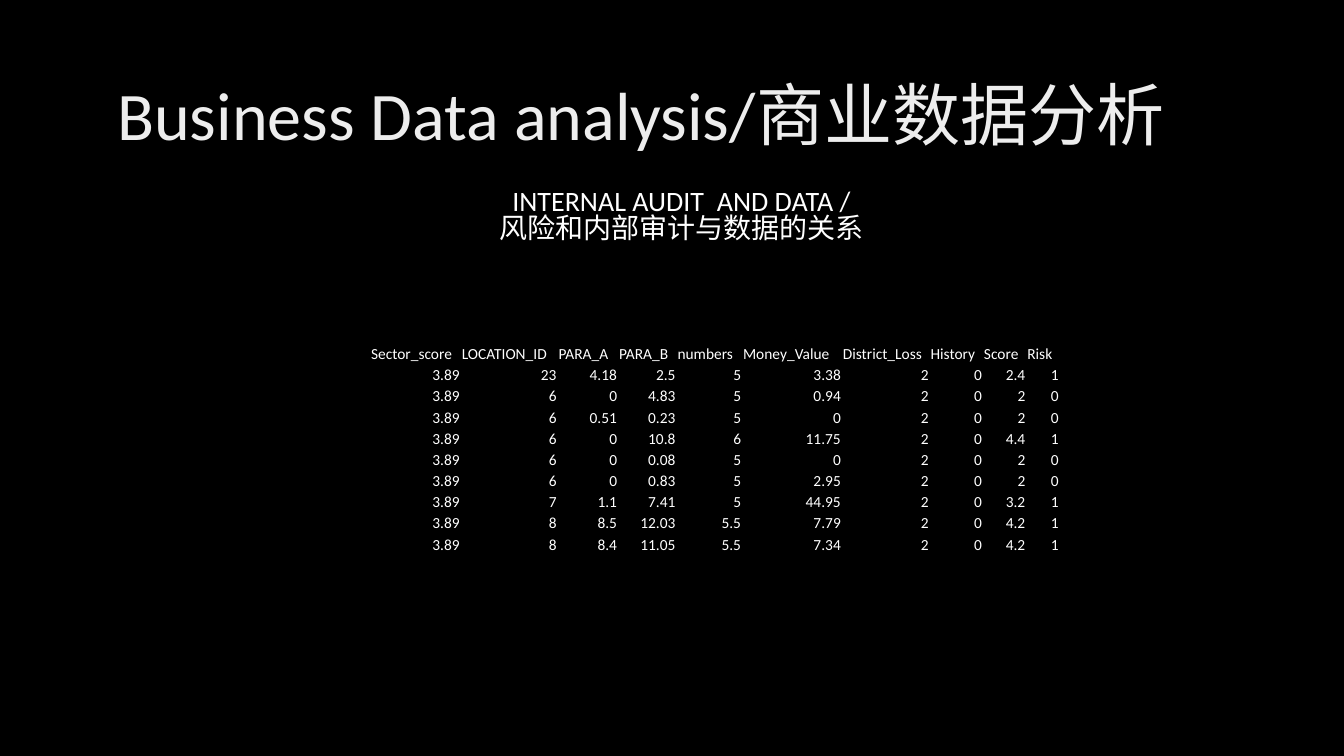
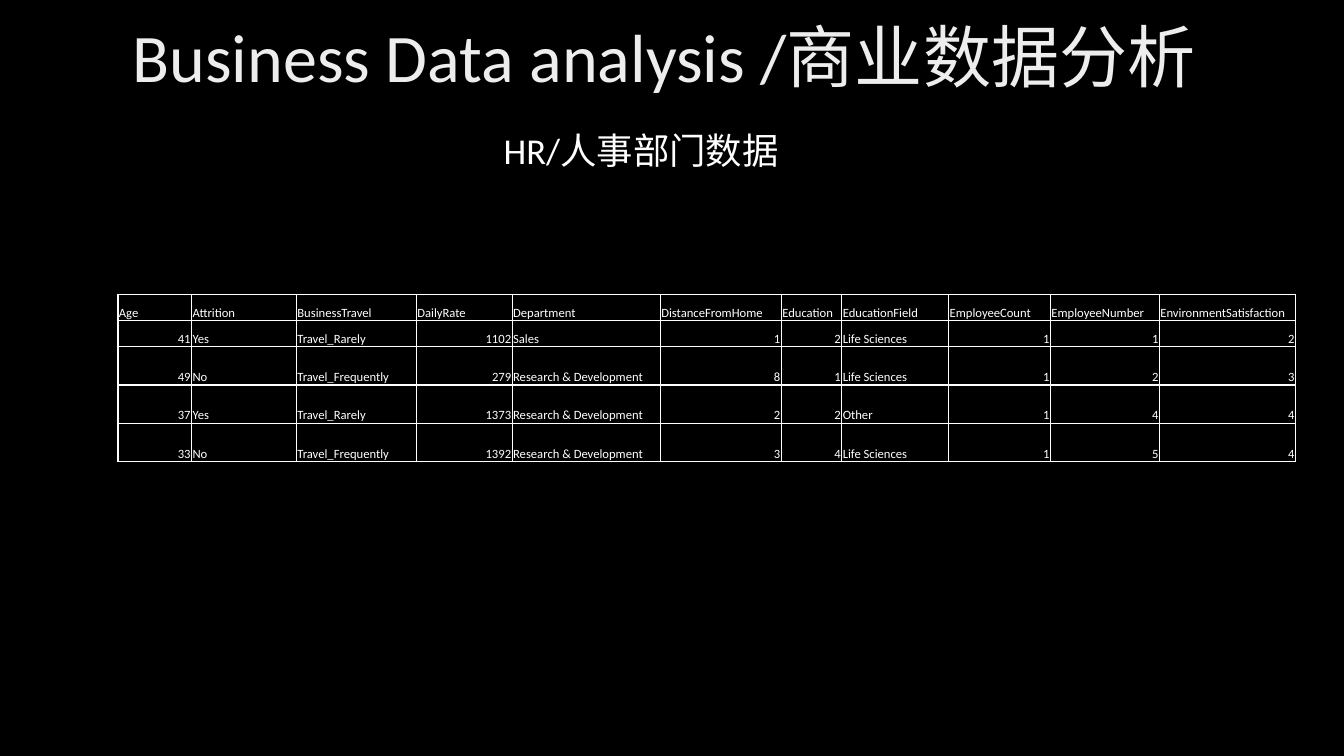
from pptx import Presentation
from pptx.dml.color import RGBColor as RGB
from pptx.enum.text import MSO_ANCHOR as Anchor, MSO_AUTO_SIZE as Auto, PP_ALIGN as Align
from pptx.oxml import parse_xml
from pptx.util import Inches, Pt

NS = 'xmlns:a="http://schemas.openxmlformats.org/drawingml/2006/main"'
HUES = {"back": "000000", "text": "FFFFFF", "dim": "BFBFBF", "pale": "EDEDED"}
FONT = "Calibri"

STOPS = "".join(
    f'<a:gs pos="{pos}000"><a:srgbClr val="{HUES[hue]}"/></a:gs>'
    for pos, hue in ((0, "dim"), (28, "pale"), (100, "text")))
SHEEN = (f'<a:gradFill {NS} rotWithShape="1"><a:gsLst>{STOPS}</a:gsLst>'
         '<a:lin ang="4800000" scaled="0"/></a:gradFill>')

AUDIT = """\
Sector_score|LOCATION_ID|PARA_A|PARA_B|numbers|Money_Value|District_Loss|History|Score|Risk
3.89|23|4.18|2.5|5|3.38|2|0|2.4|1
3.89|6|0|4.83|5|0.94|2|0|2|0
3.89|6|0.51|0.23|5|0|2|0|2|0
3.89|6|0|10.8|6|11.75|2|0|4.4|1
3.89|6|0|0.08|5|0|2|0|2|0
3.89|6|0|0.83|5|2.95|2|0|2|0
3.89|7|1.1|7.41|5|44.95|2|0|3.2|1
3.89|8|8.5|12.03|5.5|7.79|2|0|4.2|1
3.89|8|8.4|11.05|5.5|7.34|2|0|4.2|1"""

STAFF = """\
Age|Attrition|BusinessTravel|DailyRate|Department|DistanceFromHome|Education|EducationField|EmployeeCount|EmployeeNumber|EnvironmentSatisfaction
41|Yes|Travel_Rarely|1102|Sales|1|2|Life Sciences|1|1|2
49|No|Travel_Frequently|279|Research & Development|8|1|Life Sciences|1|2|3
37|Yes|Travel_Rarely|1373|Research & Development|2|2|Other|1|4|4
33|No|Travel_Frequently|1392|Research & Development|3|4|Life Sciences|1|5|4"""

PAGES = [
    {"title": "Business Data analysis/商业数据分析", "title_at": (0.59, 0.72),
     "lines": ["INTERNAL AUDIT  AND DATA /", "风险和内部审计与数据的关系"],
     "lines_at": (1.22, 1.83), "lines_size": 20,
     "data": AUDIT, "at": (3.67, 3.4), "size": 11, "border": False,
     "cols": [0.9, 0.96, 0.6, 0.58, 0.65, 0.99, 0.87, 0.53, 0.43, 0.33],
     "rows": [0.21] * 10},
    {"title": "Business Data analysis /商业数据分析", "title_at": (0.82, 0.15),
     "lines": ["HR/人事部门数据"],
     "lines_at": (0.82, 1.21), "lines_size": 26,
     "data": STAFF, "at": (1.17, 2.92), "size": 9, "border": True,
     "cols": [0.73, 1.04, 1.19, 0.95, 1.47, 1.2, 0.6, 1.06, 1.01, 1.08, 1.35],
     "rows": [0.26] * 2 + [0.38] * 3},
]


def style(para, size, align, space=1.0):
    para.alignment = align
    para.line_spacing = space
    para.font.name = FONT
    para.font.size = Pt(size)
    para.font.color.rgb = RGB.from_string(HUES["text"])


def edge(cell, shown):
    """Draw the four borders of a cell, or clear them."""
    paint = (f'<a:solidFill><a:srgbClr val="{HUES["text"]}"/></a:solidFill>'
             if shown else "<a:noFill/>")
    props = cell._tc.get_or_add_tcPr()
    for spot, side in enumerate("LRTB"):
        props.insert(spot, parse_xml(
            f'<a:ln{side} {NS} w="12700">{paint}</a:ln{side}>'))


prs = Presentation()
prs.slide_width, prs.slide_height = Inches(13.33), Inches(7.5)
back = prs.slide_master.background.fill
back.solid()
back.fore_color.rgb = RGB.from_string(HUES["back"])

for page in PAGES:
    slide = prs.slides.add_slide(prs.slide_layouts[5])

    title = slide.shapes.title
    title.left, title.top = map(Inches, page["title_at"])
    title.width, title.height = Inches(11.53), Inches(0.9)
    frame = title.text_frame
    frame.text = page["title"]
    frame.auto_size = Auto.NONE
    frame.vertical_anchor = Anchor.MIDDLE
    para = frame.paragraphs[0]
    style(para, 48.6, Align.CENTER, 0.9)
    para.runs[0]._r.get_or_add_rPr().append(parse_xml(SHEEN))

    box = slide.shapes.add_textbox(
        *map(Inches, page["lines_at"]), Inches(11.08), Inches(0.64))
    frame = box.text_frame
    frame.word_wrap = True
    frame.vertical_anchor = Anchor.MIDDLE
    frame.text = "\n".join(page["lines"])
    for para in frame.paragraphs:
        style(para, page["lines_size"], Align.CENTER, 0.8)

    data = [line.split("|") for line in page["data"].splitlines()]
    cols, rows = page["cols"], page["rows"]
    table = slide.shapes.add_table(
        len(rows), len(cols), *map(Inches, page["at"]),
        Inches(sum(cols)), Inches(sum(rows))).table
    table.first_row = table.horz_banding = False
    for col, width in zip(table.columns, cols):
        col.width = Inches(width)
    for row, height, texts in zip(table.rows, rows, data):
        row.height = Inches(height)
        for cell, text in zip(row.cells, texts):
            cell.text = text
            cell.fill.background()
            cell.vertical_anchor = Anchor.BOTTOM
            cell.margin_left = cell.margin_right = cell.margin_top = Inches(0.01)
            cell.margin_bottom = 0
            number = text.replace(".", "").isdigit()
            style(cell.text_frame.paragraphs[0], page["size"],
                  Align.RIGHT if number else Align.LEFT)
            edge(cell, page["border"])

prs.save("out.pptx")
